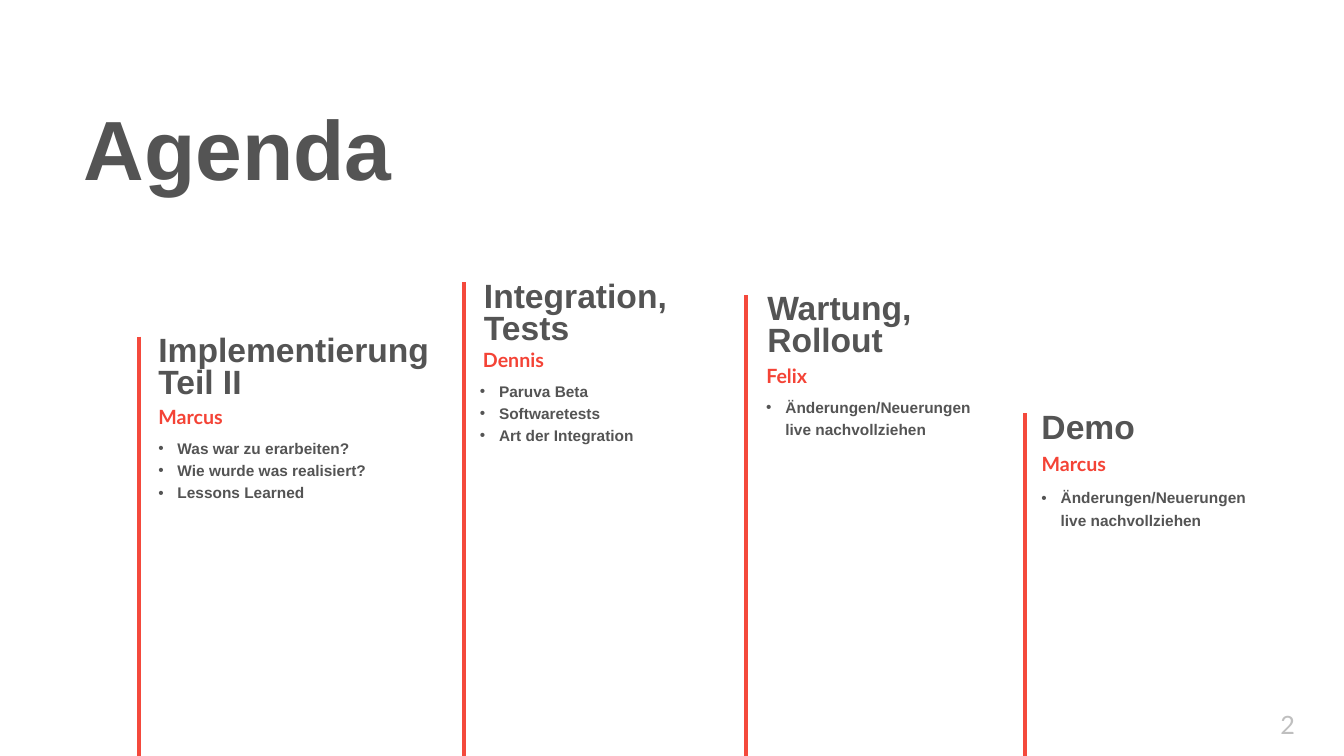
"""Builds the agenda slide with four staggered topic columns."""
from lxml.etree import SubElement
from pptx import Presentation
from pptx.dml.color import RGBColor
from pptx.enum.shapes import MSO_CONNECTOR
from pptx.enum.text import MSO_ANCHOR, MSO_AUTO_SIZE
from pptx.oxml.ns import qn
from pptx.util import Inches, Pt

COLORS = {"text": "545454", "speaker": "F44336", "rule": "F4493C", "number": "BFBFBF"}
TITLE = "Agenda"
PAGE_NUMBER = "2"
SLIDE_WIDTH, SLIDE_HEIGHT = 13.33, 7.5
INDENT = 0.19

TOPICS = [
    {"heading": ["Implementierung\vTeil II"], "heading_box": (1.57, 3.34, 2.81, 0.65),
     "speaker": "Marcus", "speaker_at": (1.57, 4.06), "rule_at": (1.38, 3.34),
     "points": ["Was war zu erarbeiten?", "Wie wurde was realisiert?", "Lessons Learned"],
     "points_at": (1.57, 4.32)},
    {"heading": ["Integration, Tests"], "heading_box": (4.8, 2.8, 2.05, 0.65),
     "speaker": "Dennis", "speaker_at": (4.79, 3.5), "rule_at": (4.6, 2.8),
     "points": ["Paruva Beta", "Softwaretests", "Art der Integration"],
     "points_at": (4.76, 3.75)},
    {"heading": ["Wartung,", "Rollout"], "heading_box": (7.61, 2.92, 2.91, 0.65),
     "speaker": "Felix", "speaker_at": (7.6, 3.66), "rule_at": (7.4, 2.93),
     "points": ["Änderungen/Neuerungen live nachvollziehen"],
     "points_at": (7.6, 3.91)},
    {"heading": ["Demo"], "heading_box": (10.33, 4.1, 1.1, 0.32),
     "speaker": "Marcus", "speaker_at": (10.33, 4.53), "rule_at": (10.17, 4.1),
     "points": ["Änderungen/Neuerungen live nachvollziehen"],
     "points_at": (10.33, 4.81)},
]


def add_text(slide, lines, box, size, color="text", font="Arial", bold=True, spacing=0.8,
             insets=(0, 0, 0, 0), anchor=MSO_ANCHOR.TOP, grow=True, bullets=False):
    frame = slide.shapes.add_textbox(*map(Inches, box)).text_frame
    frame.word_wrap = True
    frame.auto_size = MSO_AUTO_SIZE.SHAPE_TO_FIT_TEXT if grow else MSO_AUTO_SIZE.NONE
    frame.vertical_anchor = anchor
    (frame.margin_left, frame.margin_top,
     frame.margin_right, frame.margin_bottom) = map(Inches, insets)
    frame.text = "\n".join(lines)
    for paragraph in frame.paragraphs:
        paragraph.line_spacing = spacing
        if bullets:
            properties = paragraph._p.get_or_add_pPr()
            properties.set("marL", str(Inches(INDENT)))
            properties.set("indent", str(-Inches(INDENT)))
            SubElement(properties, qn("a:buFont")).set("typeface", "Arial")
            SubElement(properties, qn("a:buChar")).set("char", "•")
        for run in paragraph.runs:
            run.font.name = font
            run.font.size = Pt(size)
            run.font.bold = bold
            run.font.color.rgb = RGBColor.from_string(COLORS[color])


def add_rule(slide, left, top):
    rule = slide.shapes.add_connector(
        MSO_CONNECTOR.STRAIGHT, Inches(left), Inches(top), Inches(left), Inches(SLIDE_HEIGHT))
    rule.line.color.rgb = RGBColor.from_string(COLORS["rule"])
    rule.line.width = Pt(3)
    SubElement(rule._element.spPr, qn("a:effectLst"))


def main():
    deck = Presentation()
    deck.slide_width, deck.slide_height = Inches(SLIDE_WIDTH), Inches(SLIDE_HEIGHT)
    slide = deck.slides.add_slide(deck.slide_layouts[6])

    add_text(slide, [TITLE], (0.83, 1.01, 10.95, 0.96), 60, spacing=0.9,
             insets=(0, 0.05, 0, 0), anchor=MSO_ANCHOR.BOTTOM)
    for topic in TOPICS:
        add_rule(slide, *topic["rule_at"])
        add_text(slide, topic["heading"], topic["heading_box"], 24)
        add_text(slide, [topic["speaker"]], (*topic["speaker_at"], 2.25, 0.19), 14,
                 color="speaker", font="Lato")
        points_height = 0.65 if len(topic["points"]) > 1 else 0.42
        add_text(slide, topic["points"], (*topic["points_at"], 2.33, points_height), 11,
                 spacing=1.2, insets=(0, 0, 0.1, 0), bullets=True)
    add_text(slide, [PAGE_NUMBER], (12.6, 6.99, 0.73, 0.51), 18, color="number", font="Lato",
             bold=False, spacing=1.0, insets=(0.1, 0.05, 0.1, 0.05), grow=False)

    deck.save("out.pptx")


if __name__ == "__main__":
    main()
